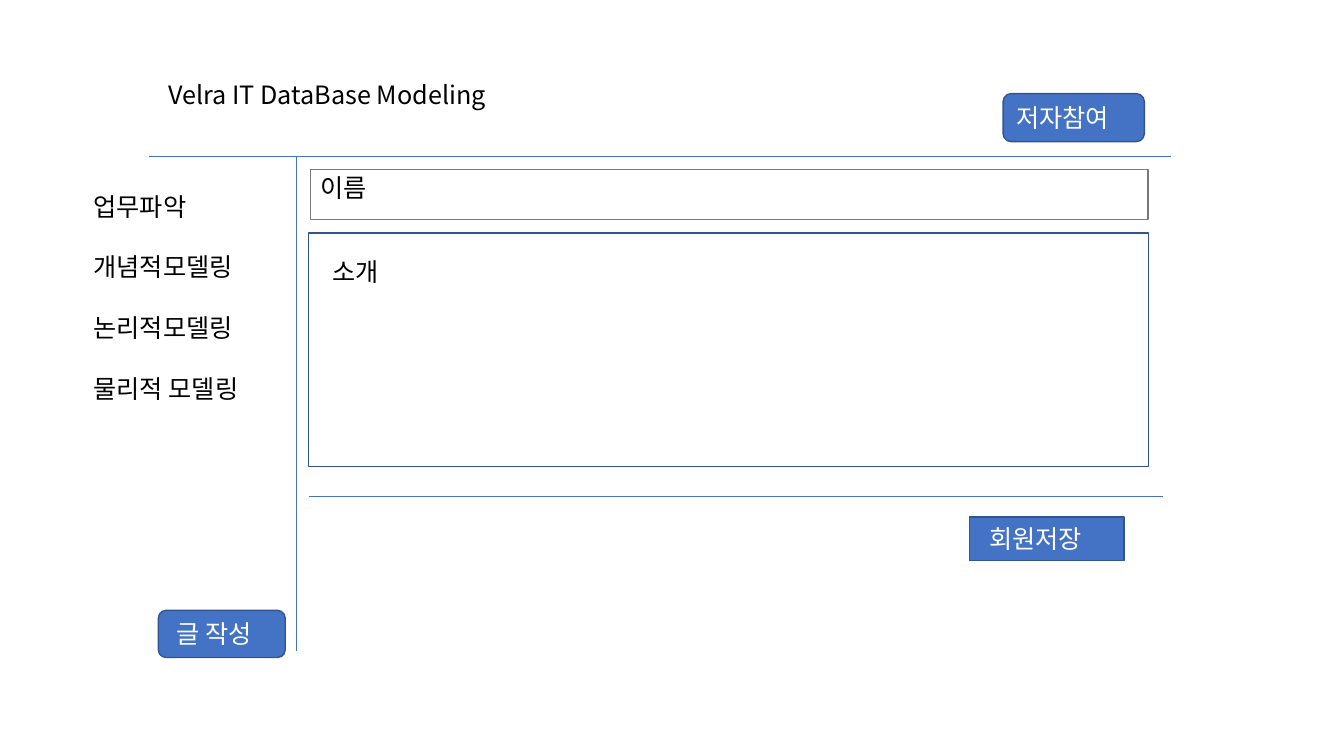
from dataclasses import dataclass

from lxml import etree
from pptx import Presentation
from pptx.dml.color import RGBColor
from pptx.enum.shapes import MSO_CONNECTOR, MSO_SHAPE
from pptx.enum.text import MSO_ANCHOR, PP_ALIGN
from pptx.oxml.ns import qn
from pptx.util import Cm, Pt

RECTANGLE = MSO_SHAPE.RECTANGLE
ROUNDED = MSO_SHAPE.ROUNDED_RECTANGLE
STRAIGHT = MSO_CONNECTOR.STRAIGHT
LEFT = PP_ALIGN.LEFT
TOP = MSO_ANCHOR.TOP


@dataclass(frozen=True)
class Theme:
    font: str = "Noto Sans CJK KR"
    size: float = 18
    line_height: float = 22
    menu_gap: float = 21.4
    border: float = 1
    rule: float = 0.5
    blue: str = "4472C4"
    navy: str = "325491"
    gray: str = "7A7A7A"
    white: str = "FFFFFF"
    black: str = "000000"


THEME = Theme()

# Content: lengths in cm, boxes as left, top, width, height
TITLE = "Velra IT DataBase Modeling"
TITLE_BOX = (3.99, 1.85, 13.56, 1.02)
MENU = ["업무파악", "개념적모델링", "논리적모델링", "물리적 모델링"]
MENU_BOX = (2.11, 4.67, 5.08, 5.64)
TEXT_INSET = (0.25, 0.13)

# Rules: start x, start y, end x, end y
RULES = [
    (3.76, 3.94, 29.51, 3.94),
    (7.47, 3.94, 7.47, 16.41),
    (7.78, 12.51, 29.31, 12.51),
]

# Label, shape, box, text inset (left, top), fill, border, text colour
FIELD = (THEME.white, THEME.navy, THEME.black)
BUTTON = (THEME.blue, THEME.navy, THEME.white)
PANELS = [
    ("이름", RECTANGLE, (7.82, 4.27, 21.11, 1.27), (0.25, 0.05),
     (THEME.white, THEME.gray, THEME.black)),
    ("소개", RECTANGLE, (7.78, 5.87, 21.16, 5.89), (0.6, 0.58), FIELD),
    ("회원저장", RECTANGLE, (24.44, 13.03, 3.89, 1.09), (0.49, 0.15), BUTTON),
    ("저자참여", ROUNDED, (25.28, 2.36, 3.56, 1.21), (0.27, 0.14), BUTTON),
    ("글 작성", ROUNDED, (3.99, 15.38, 3.2, 1.19), (0.41, 0.14), BUTTON),
]


def color(value):
    return RGBColor.from_string(value)


def lengths(values):
    return [Cm(value) for value in values]


def write(shape, lines, inset, text_color, gap=0):
    frame = shape.text_frame
    frame.text = "\n".join(lines)
    frame.word_wrap = True
    frame.vertical_anchor = TOP
    frame.margin_left, frame.margin_top = lengths(inset)
    frame.margin_right = frame.margin_bottom = 0
    for para in frame.paragraphs:
        para.alignment = LEFT
        para.line_spacing = Pt(THEME.line_height)
        para.space_before = Pt(0)
        para.space_after = Pt(gap)
        for span in para.runs:
            span.font.size = Pt(THEME.size)
            span.font.name = THEME.font
            span.font.color.rgb = color(text_color)
            east_asian = etree.Element(qn("a:ea"), typeface=THEME.font)
            span.font._element.find(qn("a:latin")).addnext(east_asian)


def add_rule(page, points):
    rule = page.shapes.add_connector(STRAIGHT, *lengths(points))
    rule.line.color.rgb = color(THEME.blue)
    rule.line.width = Pt(THEME.rule)
    etree.SubElement(rule._element.spPr, qn("a:effectLst"))


def add_panel(page, label, kind, box, inset, colors):
    fill, border, text_color = colors
    panel = page.shapes.add_shape(kind, *lengths(box))
    panel.shadow.inherit = False
    panel.fill.solid()
    panel.fill.fore_color.rgb = color(fill)
    panel.line.color.rgb = color(border)
    panel.line.width = Pt(THEME.border)
    write(panel, [label], inset, text_color)


def main():
    deck = Presentation()
    deck.slide_width, deck.slide_height = Cm(33.87), Cm(19.05)
    page = deck.slides.add_slide(deck.slide_layouts[5])

    # Title
    title = page.shapes.title
    title.left, title.top, title.width, title.height = lengths(TITLE_BOX)
    write(title, [TITLE], TEXT_INSET, THEME.black)

    # Side menu
    menu = page.shapes.add_textbox(*lengths(MENU_BOX))
    write(menu, MENU, TEXT_INSET, THEME.black, THEME.menu_gap)

    # Dividing rules
    for points in RULES:
        add_rule(page, points)

    # Input fields and buttons
    for panel in PANELS:
        add_panel(page, *panel)

    deck.save("out.pptx")


if __name__ == "__main__":
    main()
